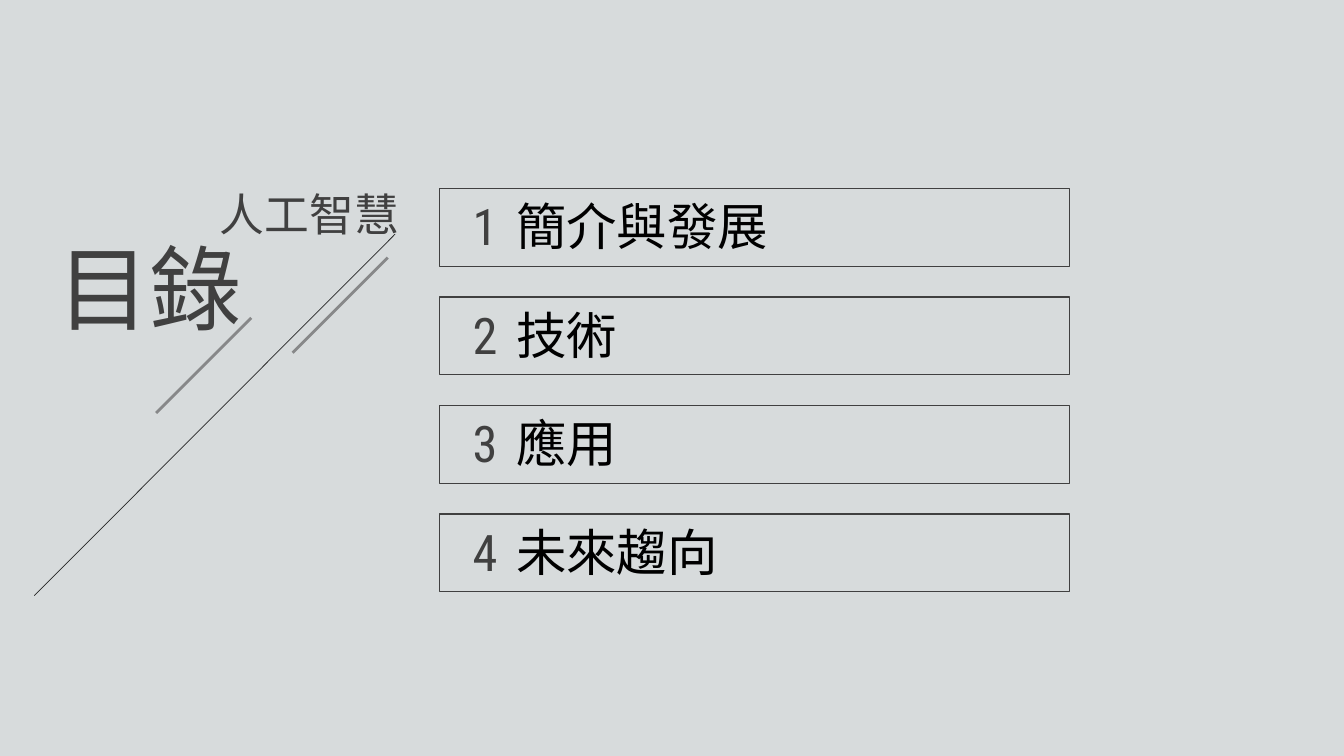
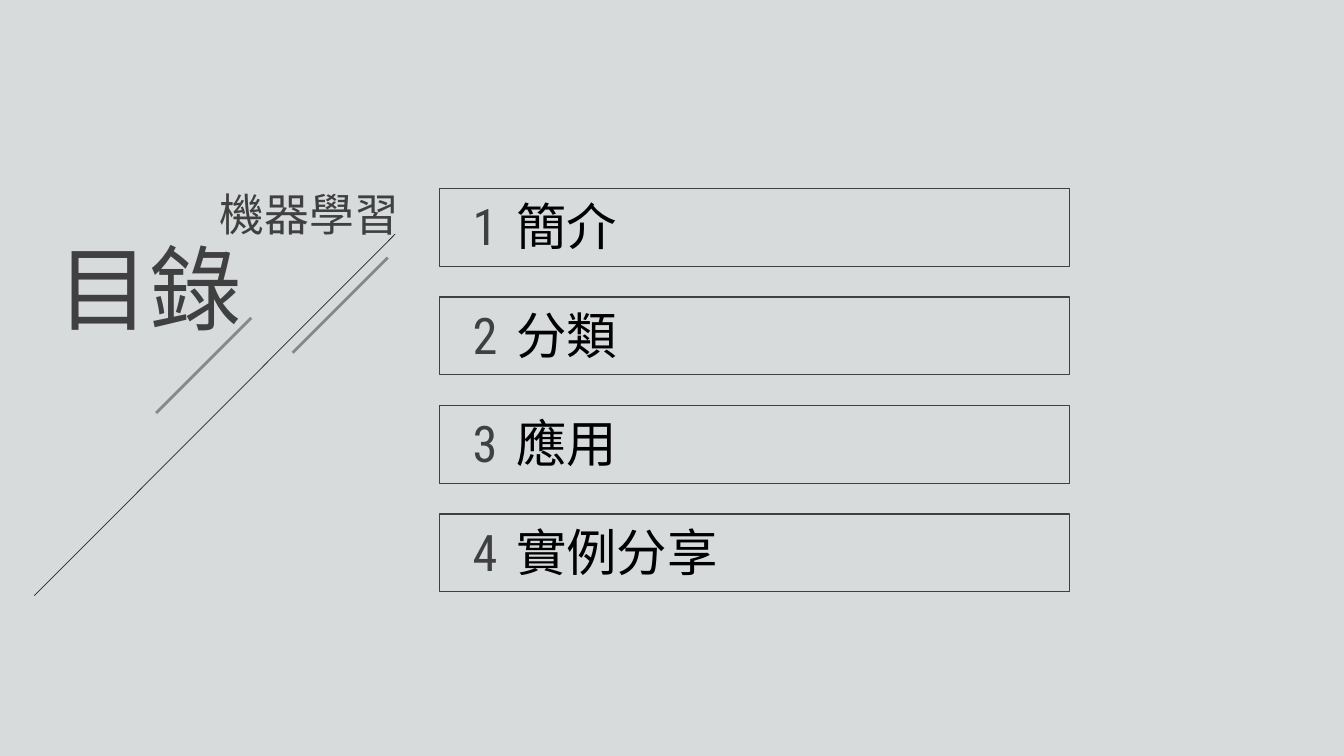
from dataclasses import dataclass

from lxml import etree
from pptx import Presentation
from pptx.dml.color import RGBColor
from pptx.enum import shapes, text
from pptx.oxml.ns import qn
from pptx.util import Pt


@dataclass(frozen=True)
class Theme:
    background: RGBColor = RGBColor(0xD7, 0xDB, 0xDC)
    grey: RGBColor = RGBColor(0x40, 0x40, 0x40)
    dark: RGBColor = RGBColor(0x26, 0x26, 0x26)
    black: RGBColor = RGBColor(0, 0, 0)
    number_font: str = "Roboto Condensed"
    heading_font: str = "Noto Sans CJK SC"
    item_font: str = "Calibri"
    heading_size: int = 66
    topic_size: int = 32
    item_size: int = 36


THEME = Theme()
HEADING = "目錄"
AGENDAS = [
    ("人工智慧", ["簡介與發展", "技術", "應用", "未來趨向"]),
    ("機器學習", ["簡介", "分類", "應用", "實例分享"]),
]

# Agenda boxes, in points
BOX_LEFT, BOX_TOP, BOX_WIDTH, BOX_HEIGHT = 314, 134.7, 450, 55.5
BOX_PITCH = 77.5
NUMBER_INDENT, ITEM_INDENT, TEXT_DROP, TEXT_HEIGHT = 16.5, 47.5, 1.3, 51


def add_text(parent, content, left, top, width, height, font, size, color,
             align=text.PP_ALIGN.LEFT, wrap=True):
    sp = parent.shapes.add_textbox(Pt(left), Pt(top), Pt(width), Pt(height))
    tf = sp.text_frame
    tf.word_wrap = wrap
    tf.auto_size = text.MSO_AUTO_SIZE.SHAPE_TO_FIT_TEXT
    p = tf.paragraphs[0]
    p.text = content
    p.alignment = align
    p.font.name, p.font.size = font, Pt(size)
    p.font.color.rgb = color


def add_line(s, start, end, color, width, opacity=100):
    ln = s.shapes.add_connector(shapes.MSO_CONNECTOR.STRAIGHT,
                                *map(Pt, start + end))
    ln.line.color.rgb = color
    ln.line.width = Pt(width)
    sp_pr = ln._element.spPr
    etree.SubElement(sp_pr, qn("a:effectLst"))
    if opacity < 100:
        rgb = sp_pr.find(".//" + qn("a:srgbClr"))
        etree.SubElement(rgb, qn("a:alpha"), val=str(opacity * 1000))


def add_item(s, index, label):
    """One numbered agenda entry, grouped with its frame."""
    group = s.shapes.add_group_shape()
    top = BOX_TOP + index * BOX_PITCH
    add_text(group, label, BOX_LEFT + ITEM_INDENT, top + TEXT_DROP,
             BOX_WIDTH - ITEM_INDENT, TEXT_HEIGHT,
             THEME.item_font, THEME.item_size, THEME.black)
    add_text(group, str(index + 1), BOX_LEFT + NUMBER_INDENT, top + TEXT_DROP,
             41, TEXT_HEIGHT, THEME.number_font, THEME.item_size, THEME.grey)
    frame = group.shapes.add_shape(shapes.MSO_SHAPE.RECTANGLE, Pt(BOX_LEFT),
                                   Pt(top), Pt(BOX_WIDTH), Pt(BOX_HEIGHT))
    frame.shadow.inherit = False
    frame.fill.background()
    frame.line.color.rgb = THEME.grey
    frame.line.width = Pt(1)


def add_heading(s, topic):
    """Heading and topic, divided by diagonal lines."""
    add_line(s, (111.5, 295), (179.5, 227), THEME.grey, 0, opacity=52)
    add_text(s, topic, 148.3, 129.6, 144, 46, THEME.number_font,
             THEME.topic_size, THEME.grey, text.PP_ALIGN.RIGHT, wrap=False)
    add_text(s, HEADING, 34, 161.3, 155.5, 87, THEME.heading_font,
             THEME.heading_size, THEME.grey, text.PP_ALIGN.JUSTIFY)
    add_line(s, (24.5, 425.5), (282.3, 167.2), THEME.dark, 0.5)
    add_line(s, (209, 252), (277, 184), THEME.grey, 0, opacity=52)


def add_agenda(prs, topic, labels):
    s = prs.slides.add_slide(prs.slide_layouts[6])
    add_heading(s, topic)
    for index, label in enumerate(labels):
        add_item(s, index, label)


def main():
    prs = Presentation()
    prs.slide_width, prs.slide_height = Pt(960), Pt(540)

    # Shared background
    fill = prs.slide_master.background.fill
    fill.solid()
    fill.fore_color.rgb = THEME.background

    for topic, labels in AGENDAS:
        add_agenda(prs, topic, labels)
    prs.save("out.pptx")


if __name__ == "__main__":
    main()
